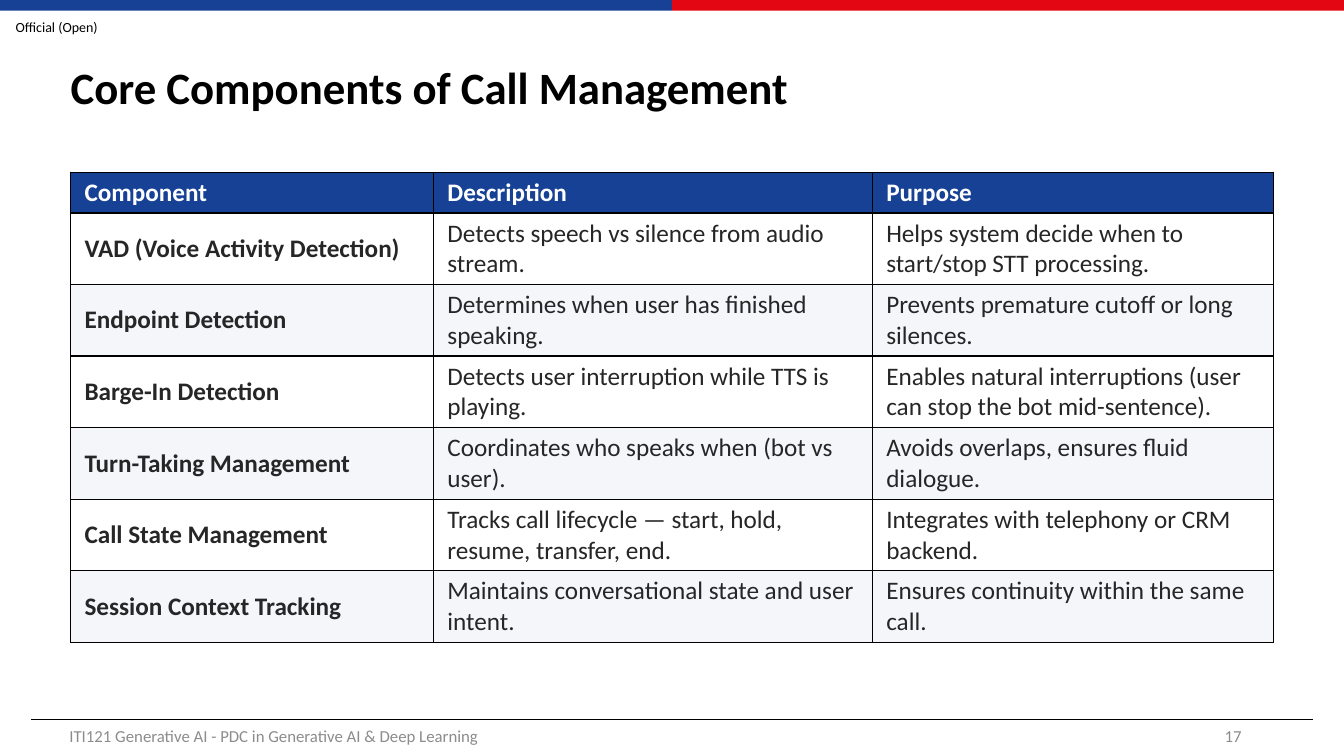
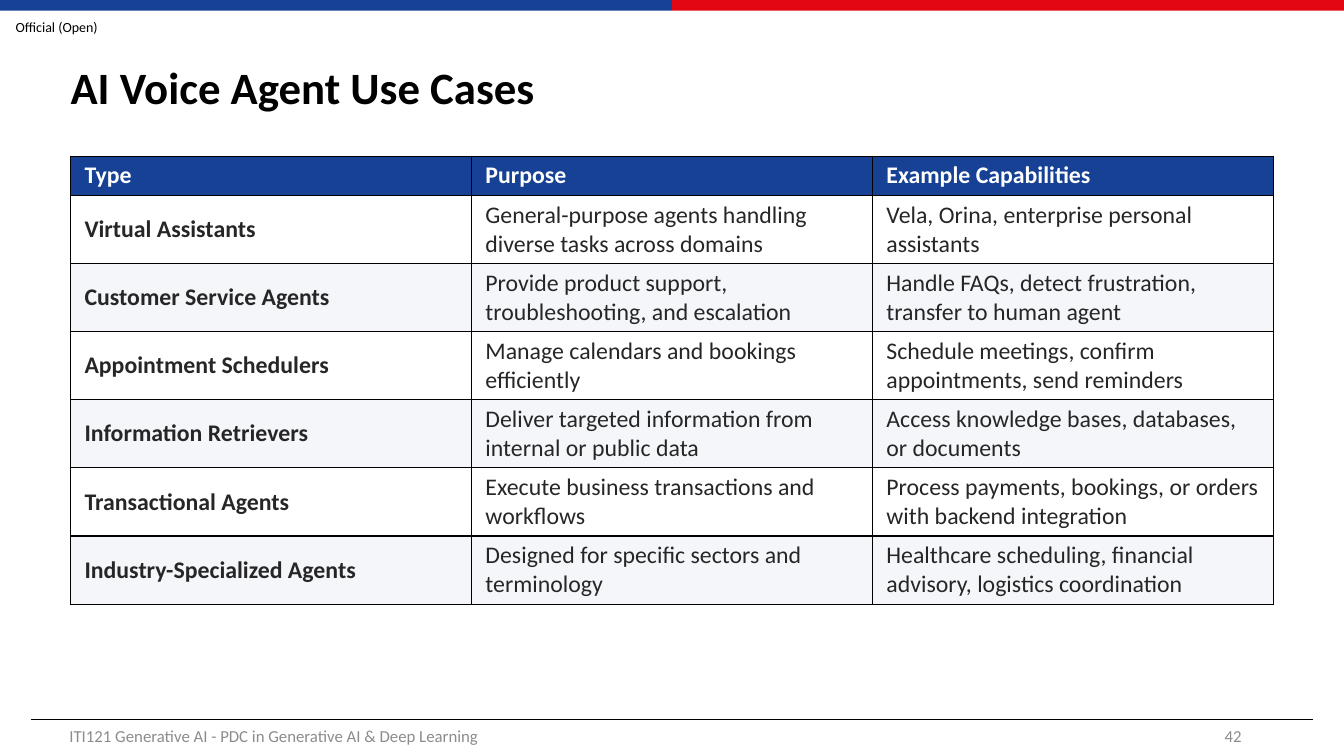
from lxml import etree
from pptx import Presentation
from pptx.dml.color import RGBColor
from pptx.enum.shapes import MSO_CONNECTOR, MSO_SHAPE
from pptx.enum.text import MSO_ANCHOR as Anchor, PP_ALIGN as Align
from pptx.oxml.ns import qn
from pptx.util import Pt

COLORS = {
    "black": "000000",
    "white": "FFFFFF",
    "blue": "164194",
    "red": "E30613",
    "stripe": "F4F6FA",
    "text": "262626",
    "footer": "8C8C8C",
}
FONT = "Calibri"
WIDTH, HEIGHT = 960, 540
TABLE_LEFT = 50.4
LINE_SPACING = 1.22
CELL_PAD_X, CELL_PAD_Y = 10, 3.6
LABEL = "Official (Open)"
FOOTER = "ITI121 Generative AI - PDC in Generative AI & Deep Learning"

CALL_MANAGEMENT = [
    ("Component", "Description", "Purpose"),
    ("VAD (Voice Activity Detection)", "Detects speech vs silence from audio stream.",
     "Helps system decide when to start/stop STT processing."),
    ("Endpoint Detection", "Determines when user has finished speaking.",
     "Prevents premature cutoff or long silences."),
    ("Barge-In Detection", "Detects user interruption while TTS is playing.",
     "Enables natural interruptions (user can stop the bot mid-sentence)."),
    ("Turn-Taking Management", "Coordinates who speaks when (bot vs user).",
     "Avoids overlaps, ensures fluid dialogue."),
    ("Call State Management", "Tracks call lifecycle — start, hold, resume, transfer, end.",
     "Integrates with telephony or CRM backend."),
    ("Session Context Tracking", "Maintains conversational state and user intent.",
     "Ensures continuity within the same call."),
]
USE_CASES = [
    ("Type", "Purpose", "Example Capabilities"),
    ("Virtual Assistants", "General-purpose agents handling diverse tasks across domains",
     "Vela, Orina, enterprise personal assistants"),
    ("Customer Service Agents", "Provide product support, troubleshooting, and escalation",
     "Handle FAQs, detect frustration, transfer to human agent"),
    ("Appointment Schedulers", "Manage calendars and bookings efficiently",
     "Schedule meetings, confirm appointments, send reminders"),
    ("Information Retrievers", "Deliver targeted information from internal or public data",
     "Access knowledge bases, databases, or documents"),
    ("Transactional Agents", "Execute business transactions and workflows",
     "Process payments, bookings, or orders with backend integration"),
    ("Industry-Specialized Agents", "Designed for specific sectors and terminology",
     "Healthcare scheduling, financial advisory, logistics coordination"),
]


def rgb(name):
    return RGBColor.from_string(COLORS[name])


def box_pts(*box):
    return [Pt(v) for v in box]


def set_text(tf, text, size, color, bold=False, align=Align.LEFT):
    tf.text = text
    tf.word_wrap = True
    tf.vertical_anchor = Anchor.MIDDLE
    p = tf.paragraphs[0]
    p.alignment = align
    font = p.font
    font.name, font.size, font.bold = FONT, Pt(size), bold
    font.color.rgb = rgb(color)
    return p


def add_text(s, box, text, size, color, align=Align.LEFT):
    tf = s.shapes.add_textbox(*box_pts(*box)).text_frame
    set_text(tf, text, size, color, align=align)
    return tf


def add_top_band(s, left, top, width, height):
    half = width / 2
    for i, color in enumerate(("blue", "red")):
        sp = s.shapes.add_shape(MSO_SHAPE.RECTANGLE,
                                *box_pts(left + i * half, top, half, height))
        sp.shadow.inherit = False
        sp.fill.solid()
        sp.fill.fore_color.rgb = rgb(color)
        sp.line.fill.background()


def add_label(s, box):
    tf = add_text(s, box, LABEL, 10, "black", Align.CENTER)
    tf.margin_left = tf.margin_right = tf.margin_top = tf.margin_bottom = 0


def add_footer(s, left, top, width, height, number):
    """Rule inset from the box sides, course name below left, page number right."""
    rule_y = top + 3
    line = s.shapes.add_connector(MSO_CONNECTOR.STRAIGHT,
                                  *box_pts(left + 22, rule_y, left + width - 22, rule_y))
    line.line.color.rgb = rgb("black")
    line.line.width = Pt(0.5)
    etree.SubElement(line._element.spPr, qn("a:effectLst"))
    add_text(s, (left + 42.5, top, 324, height), FOOTER, 12, "footer")
    add_text(s, (left + width - 282, top, 216, height), str(number), 12, "footer", Align.RIGHT)


def add_title(s, box, text):
    title = s.shapes.title
    title.left, title.top, title.width, title.height = box_pts(*box)
    p = set_text(title.text_frame, text, 32, "black", bold=True)
    p.line_spacing = 0.9


def add_borders(cell):
    tc_pr = cell._tc.get_or_add_tcPr()
    for side in ("lnL", "lnR", "lnT", "lnB"):
        ln = etree.SubElement(tc_pr, qn(f"a:{side}"), w=str(Pt(1)))
        fill = etree.SubElement(ln, qn("a:solidFill"))
        etree.SubElement(fill, qn("a:srgbClr"), val=COLORS["black"])


def format_cell(cell, text, size, row, col):
    add_borders(cell)
    cell.fill.solid()
    if row == 0:
        back, color = "blue", "white"
    else:
        back, color = ("white" if row % 2 else "stripe"), "text"
    cell.fill.fore_color.rgb = rgb(back)
    set_text(cell.text_frame, text, size, color, bold=row == 0 or col == 0)
    cell.vertical_anchor = Anchor.MIDDLE
    cell.margin_left = cell.margin_right = Pt(CELL_PAD_X)
    cell.margin_top = cell.margin_bottom = Pt(CELL_PAD_Y)


def add_grid(s, left, top, col_widths, rows, size):
    """Table with a one-line header and two-line body rows."""
    heights = [lines * size * LINE_SPACING + 2 * CELL_PAD_Y
               for lines in [1] + [2] * (len(rows) - 1)]
    frame = s.shapes.add_table(len(rows), len(col_widths),
                               *box_pts(left, top, sum(col_widths), sum(heights)))
    table = frame.table
    table.first_row = table.horz_banding = False
    for column, width in zip(table.columns, col_widths):
        column.width = Pt(width)
    for r, (texts, height) in enumerate(zip(rows, heights)):
        table.rows[r].height = Pt(height)
        for c, text in enumerate(texts):
            format_cell(table.cell(r, c), text, size, r, c)


def add_table_slide(prs, title, number, top, col_widths, rows, size):
    s = prs.slides.add_slide(prs.slide_layouts.get_by_name("Title Only"))
    add_label(s, (0, 9, 81, 21))
    add_top_band(s, 0, 0, WIDTH, 7.6)
    add_title(s, (43.2, 21.6, 870, 85), title)
    add_footer(s, 0, 511, WIDTH, 29, number)
    add_grid(s, TABLE_LEFT, top, col_widths, rows, size)


def main():
    prs = Presentation()
    prs.slide_width, prs.slide_height = Pt(WIDTH), Pt(HEIGHT)
    add_table_slide(prs, "Core Components of Call Management", 17, 123,
                    (259.2, 313.5, 286.4), CALL_MANAGEMENT, 18)
    add_table_slide(prs, "AI Voice Agent Use Cases", 42, 111.6,
                    (286.4,) * 3, USE_CASES, 17)
    prs.save("out.pptx")


if __name__ == "__main__":
    main()
